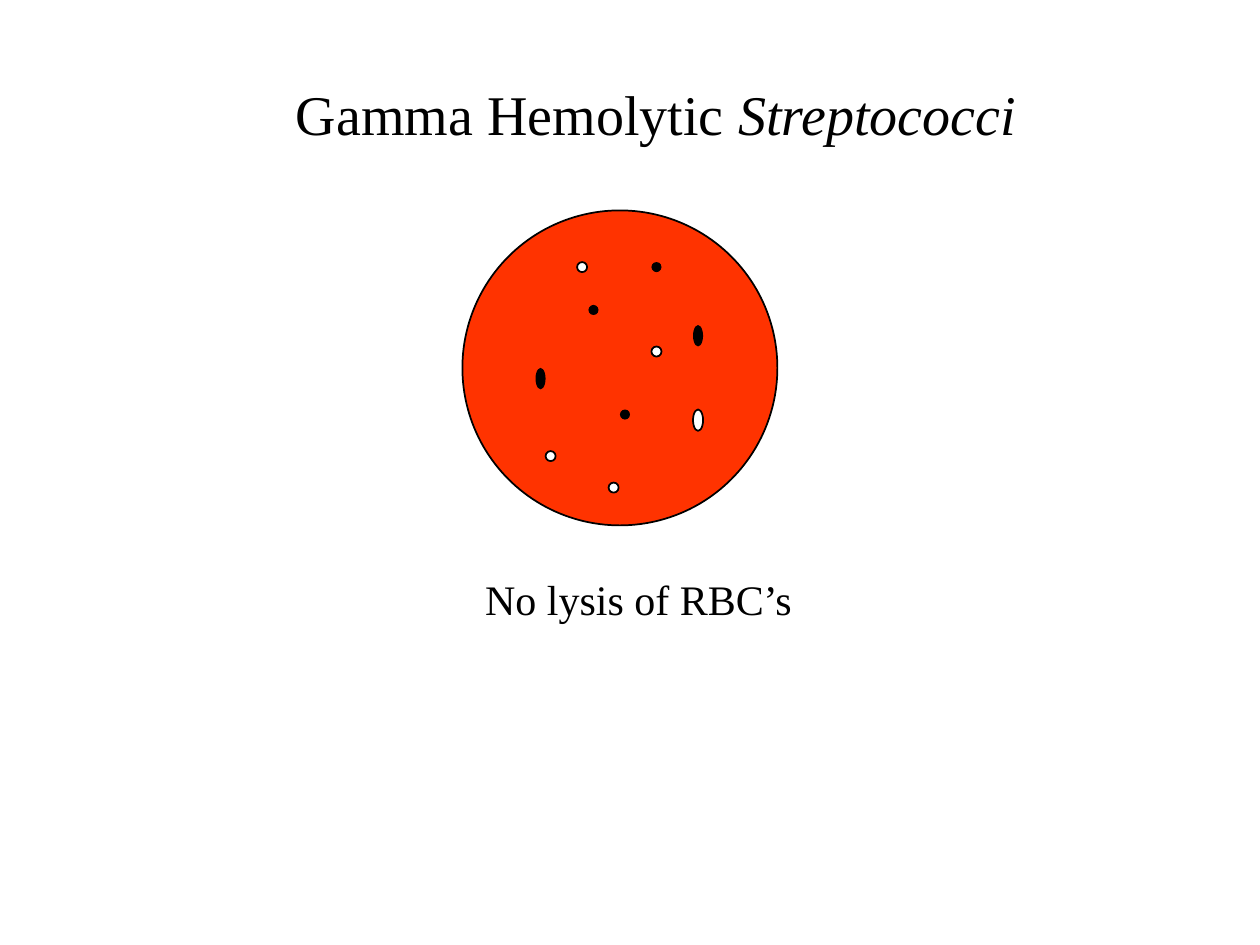
from dataclasses import dataclass

from pptx import Presentation
from pptx import util as u
from pptx.dml.color import RGBColor
from pptx.enum import shapes, text

COLORS = {"blood": "FF3300", "black": "000000", "white": "FFFFFF"}
FONT = "Times New Roman"
DOT = 0.08
ROD = 0.17


@dataclass
class Oval:
    left: float
    top: float
    width: float
    height: float
    fill: str
    outlined: bool = True


@dataclass
class Label:
    left: float
    top: float
    width: float
    height: float
    size: int
    spans: list[tuple[str, bool]]
    inset: float = 0.1


PLATE = Oval(3.67, 1.67, 2.5, 2.5, "blood")
DARK_COLONIES = [
    (4.67, 2.42, DOT),
    (5.5, 2.58, ROD),
    (4.25, 2.92, ROD),
    (4.92, 3.25, DOT),
    (5.17, 2.08, DOT),
]
LIGHT_COLONIES = [
    (5.5, 3.25, ROD),
    (4.33, 3.58, DOT),
    (4.58, 2.08, DOT),
    (5.17, 2.75, DOT),
    (4.83, 3.83, DOT),
]
LABELS = [
    Label(2.25, 0.58, 6.42, 0.63, 32,
          [("Gamma Hemolytic ", False), ("Streptococci", True)]),
    Label(3.25, 4.5, 4, 0.5, 24, [("No lysis of RBC’s", False)], inset=0.6),
]


def color(name: str) -> RGBColor:
    return RGBColor.from_string(COLORS[name])


def draw_label(page, label: Label) -> None:
    box = page.shapes.add_textbox(
        u.Inches(label.left), u.Inches(label.top),
        u.Inches(label.width), u.Inches(label.height))
    frame = box.text_frame
    frame_format = {
        "word_wrap": True,
        "auto_size": text.MSO_AUTO_SIZE.SHAPE_TO_FIT_TEXT,
        "margin_left": u.Inches(label.inset),
    }
    for name, value in frame_format.items():
        setattr(frame, name, value)
    para = frame.paragraphs[0]
    for words, italic in label.spans:
        span = para.add_run()
        span.text = words
        font_format = {"name": FONT, "size": u.Pt(label.size), "italic": italic}
        for name, value in font_format.items():
            setattr(span.font, name, value)
        span.font.color.rgb = color("black")


def draw_oval(page, oval: Oval) -> None:
    shape = page.shapes.add_shape(
        shapes.MSO_SHAPE.OVAL,
        u.Inches(oval.left), u.Inches(oval.top),
        u.Inches(oval.width), u.Inches(oval.height))
    shape.shadow.inherit = False
    shape.fill.solid()
    shape.fill.fore_color.rgb = color(oval.fill)
    if oval.outlined:
        shape.line.color.rgb = color("black")
        shape.line.width = u.Pt(1)
    else:
        shape.line.fill.background()


def main() -> None:
    deck = Presentation()
    deck.slide_width = u.Inches(10)
    deck.slide_height = u.Inches(7.5)
    page = deck.slides.add_slide(deck.slide_layouts[6])
    for label in LABELS:
        draw_label(page, label)
    draw_oval(page, PLATE)
    for left, top, height in DARK_COLONIES:
        draw_oval(page, Oval(left, top, DOT, height, "black", outlined=False))
    for left, top, height in LIGHT_COLONIES:
        draw_oval(page, Oval(left, top, DOT, height, "white"))
    deck.save("out.pptx")


if __name__ == "__main__":
    main()
